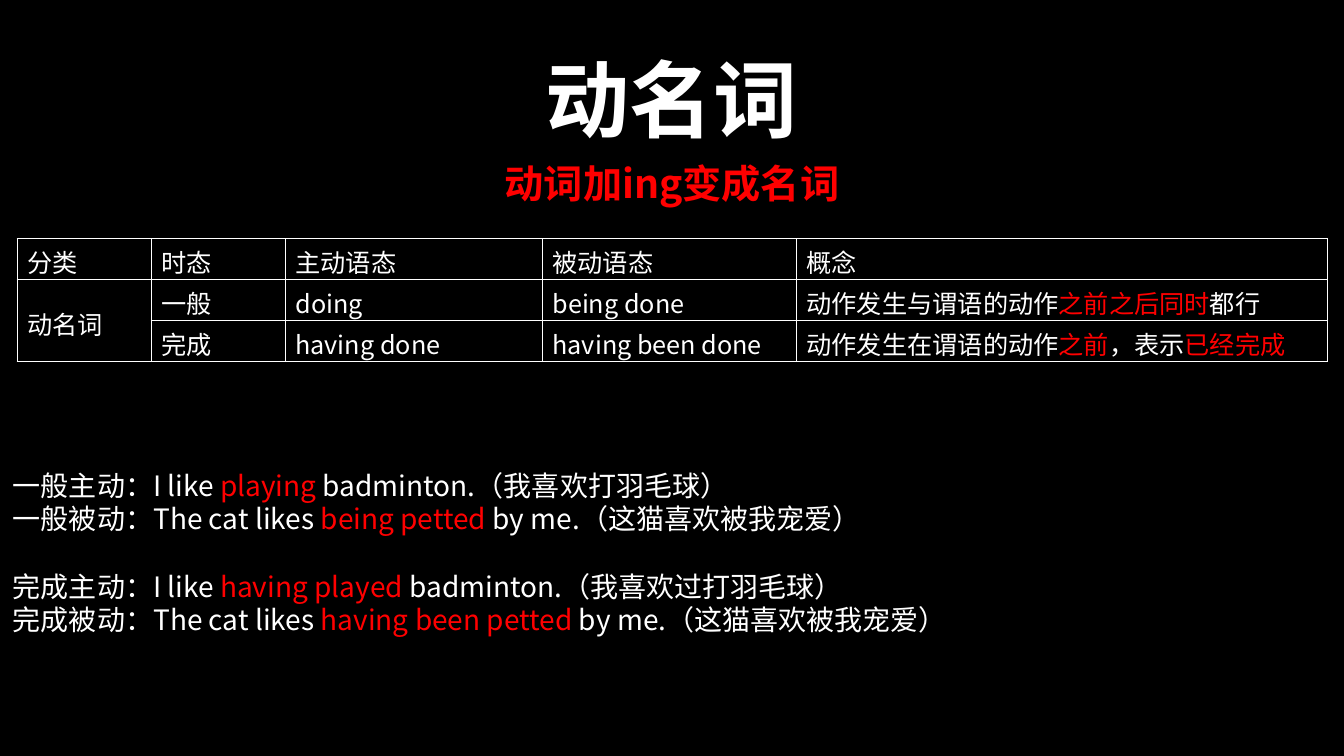
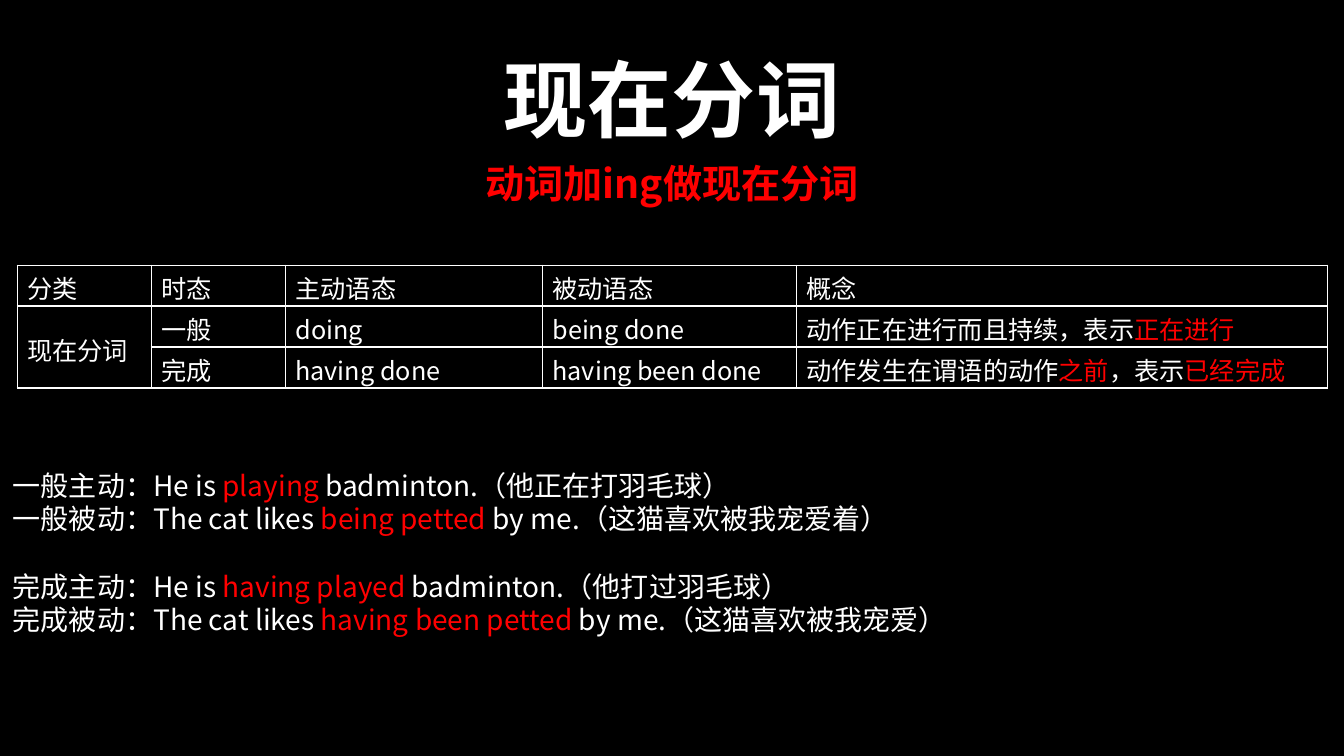
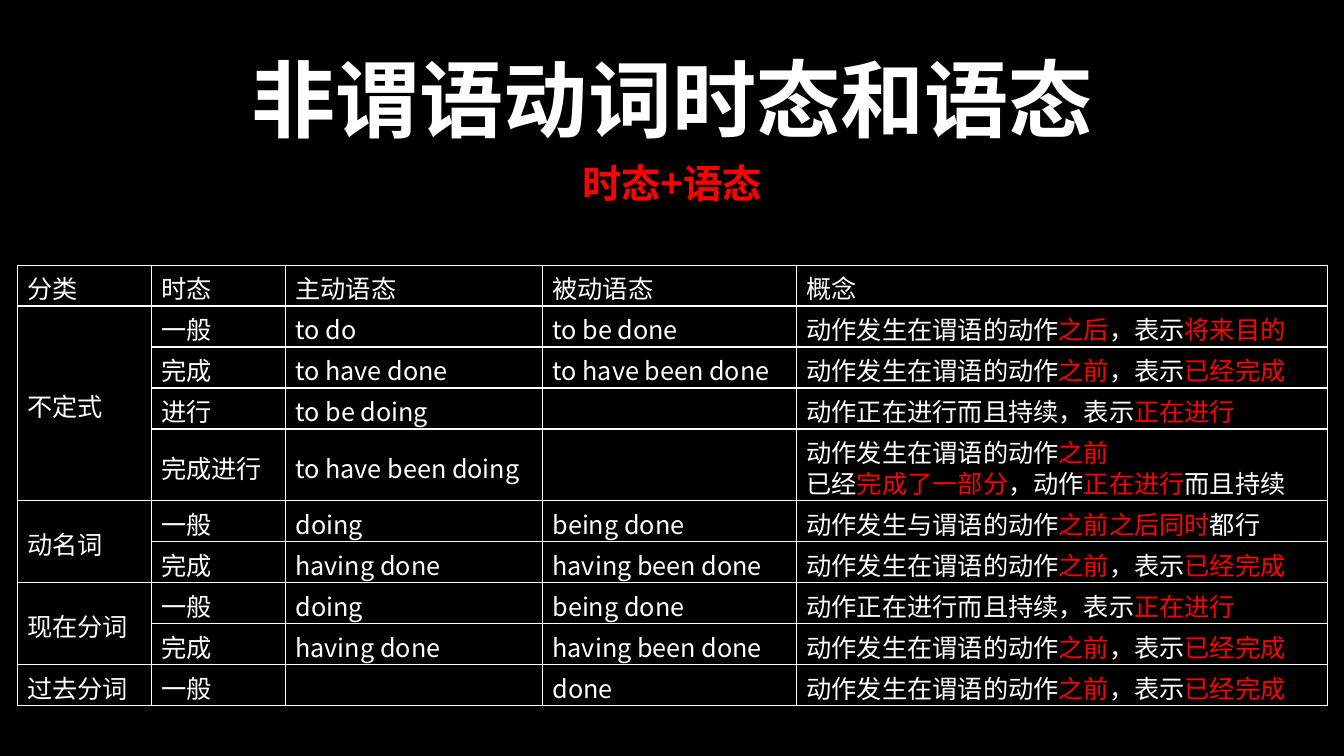
"""Build three slides on the tense and voice of non-finite verbs."""
import lxml.etree
import pptx
import pptx.dml.color
import pptx.enum.text
import pptx.oxml.ns
import pptx.util

Inches, Pt = pptx.util.Inches, pptx.util.Pt
PP_ALIGN = pptx.enum.text.PP_ALIGN
MIDDLE = pptx.enum.text.MSO_ANCHOR.MIDDLE
qn = pptx.oxml.ns.qn

FONT = "Noto Sans CJK SC"
BLACK, WHITE, RED = "000000", "FFFFFF", "FF0000"
SLIDE_W = 13.33
ROW_H, TALL_ROW_H = 1.22 / 3, 0.71
COL_WIDTHS = [1.33, 1.33, 2.55, 2.52, 5.27]

HEADER = ["分类", "时态", "主动语态", "被动语态", "概念"]
BEFORE = "动作发生在谓语的动作|之前|，表示|已经完成"
ONGOING = "动作正在进行而且持续，表示|正在进行"
PERFECT = ["完成", "having done", "having been done", BEFORE]
INFINITIVE = ("不定式", [
    ["一般", "to do", "to be done", "动作发生在谓语的动作|之后|，表示|将来目的"],
    ["完成", "to have done", "to have been done", BEFORE],
    ["进行", "to be doing", "", ONGOING],
    ["完成进行", "to have been doing", "",
     "动作发生在谓语的动作|之前\n已经|完成了一部分|，动作|正在进行|而且持续"],
])
GERUND = ("动名词", [
    ["一般", "doing", "being done", "动作发生与谓语的动作|之前之后同时|都行"],
    PERFECT,
])
PRESENT = ("现在分词", [["一般", "doing", "being done", ONGOING], PERFECT])
PAST = ("过去分词", [["一般", "", "done", BEFORE]])

SLIDES = [
    ("动名词", 2.73, "动词加ing变成名词", 2.37, [GERUND], [
        "一般主动：I like |playing |badminton.（我喜欢打羽毛球）",
        "一般被动：The cat likes |being petted |by me.（这猫喜欢被我宠爱）",
        "完成主动：I like |having played |badminton.（我喜欢过打羽毛球）",
        "完成被动：The cat likes |having been petted |by me.（这猫喜欢被我宠爱）",
    ]),
    ("现在分词", 3.57, "动词加ing做现在分词", 2.63, [PRESENT], [
        "一般主动：He is |playing |badminton.（他正在打羽毛球）",
        "一般被动：The cat likes |being petted |by me.（这猫喜欢被我宠爱着）",
        "完成主动：He is |having played |badminton.（他打过羽毛球）",
        "完成被动：The cat likes |having been petted| by me.（这猫喜欢被我宠爱）",
    ]),
    ("非谓语动词时态和语态", 8.81, "时态+语态", 2.63,
     [INFINITIVE, GERUND, PRESENT, PAST], []),
]


def write(tf, lines, size, colors=(WHITE, RED), bold=False, align=None, spacing=None):
    """Write one paragraph per line, changing colour at each bar."""
    for i, line in enumerate(lines):
        p = tf.add_paragraph() if i else tf.paragraphs[0]
        p.alignment = align
        p.line_spacing = spacing
        for j, text in enumerate(line.split("|")):
            if not text:
                continue
            r = p.add_run()
            r.text = text
            r.font.size = Pt(size)
            r.font.bold = bold
            r.font.name = FONT
            r.font.fill.solid()
            r.font.fill.fore_color.rgb = pptx.dml.color.RGBColor.from_string(colors[j % 2])
            lxml.etree.SubElement(r.font._element, qn("a:ea"), typeface=FONT)


def add_text(s, left, top, width, height, wrap=True):
    """Add a text box anchored in the middle and return its frame."""
    tf = s.shapes.add_textbox(Inches(left), Inches(top), Inches(width), Inches(height)).text_frame
    tf.word_wrap = wrap
    tf.vertical_anchor = MIDDLE
    return tf


prs = pptx.Presentation()
prs.slide_width, prs.slide_height = Inches(SLIDE_W), Inches(7.5)
fill = prs.slide_master.background.fill
fill.solid()
fill.fore_color.rgb = pptx.dml.color.RGBColor.from_string(BLACK)

for title, title_w, subtitle, table_top, groups, examples in SLIDES:
    s = prs.slides.add_slide(prs.slide_layouts[6])
    tf = add_text(s, (SLIDE_W - title_w) / 2, 0.42, title_w, 1.11, wrap=False)
    write(tf, [title], 60, bold=True, align=PP_ALIGN.CENTER)
    tf = add_text(s, 0.52, 1.53, 12.29, 0.57)
    write(tf, [subtitle], 28, colors=(RED, WHITE), bold=True, align=PP_ALIGN.CENTER)

    rows = [HEADER]
    spans = []
    for name, forms in groups:
        spans.append((len(rows), len(rows) + len(forms) - 1))
        for i, form in enumerate(forms):
            rows.append(["" if i else name] + form)
    heights = [TALL_ROW_H if "\n" in row[-1] else ROW_H for row in rows]
    table = s.shapes.add_table(
        len(rows), len(COL_WIDTHS), Inches(0.17), Inches(table_top),
        Inches(sum(COL_WIDTHS)), Inches(sum(heights))).table
    table.first_row = table.horz_banding = False
    for col, width in zip(table.columns, COL_WIDTHS):
        col.width = Inches(width)
    for r, (row, height) in enumerate(zip(rows, heights)):
        table.rows[r].height = Inches(height)
        for c, text in enumerate(row):
            cell = table.cell(r, c)
            cell.vertical_anchor = MIDDLE
            cell.margin_top, cell.margin_bottom = Inches(0.1), 0
            write(cell.text_frame, text.split("\n"), 18, spacing=Pt(22))
            tcPr = cell._tc.get_or_add_tcPr()
            for side in ("lnL", "lnR", "lnT", "lnB"):
                ln = lxml.etree.SubElement(tcPr, qn("a:" + side), w=str(Pt(1)))
                line_fill = lxml.etree.SubElement(ln, qn("a:solidFill"))
                lxml.etree.SubElement(line_fill, qn("a:srgbClr"), val=WHITE)
            cell.fill.background()
    for first, last in spans:
        if last > first:
            table.cell(first, 0).merge(table.cell(last, 0))

    if examples:
        tf = add_text(s, 0.03, 4.59, 13.26, 1.78)
        write(tf, examples, 20, spacing=Pt(24))
        tf.paragraphs[2].space_before = Pt(24)

prs.save("out.pptx")
